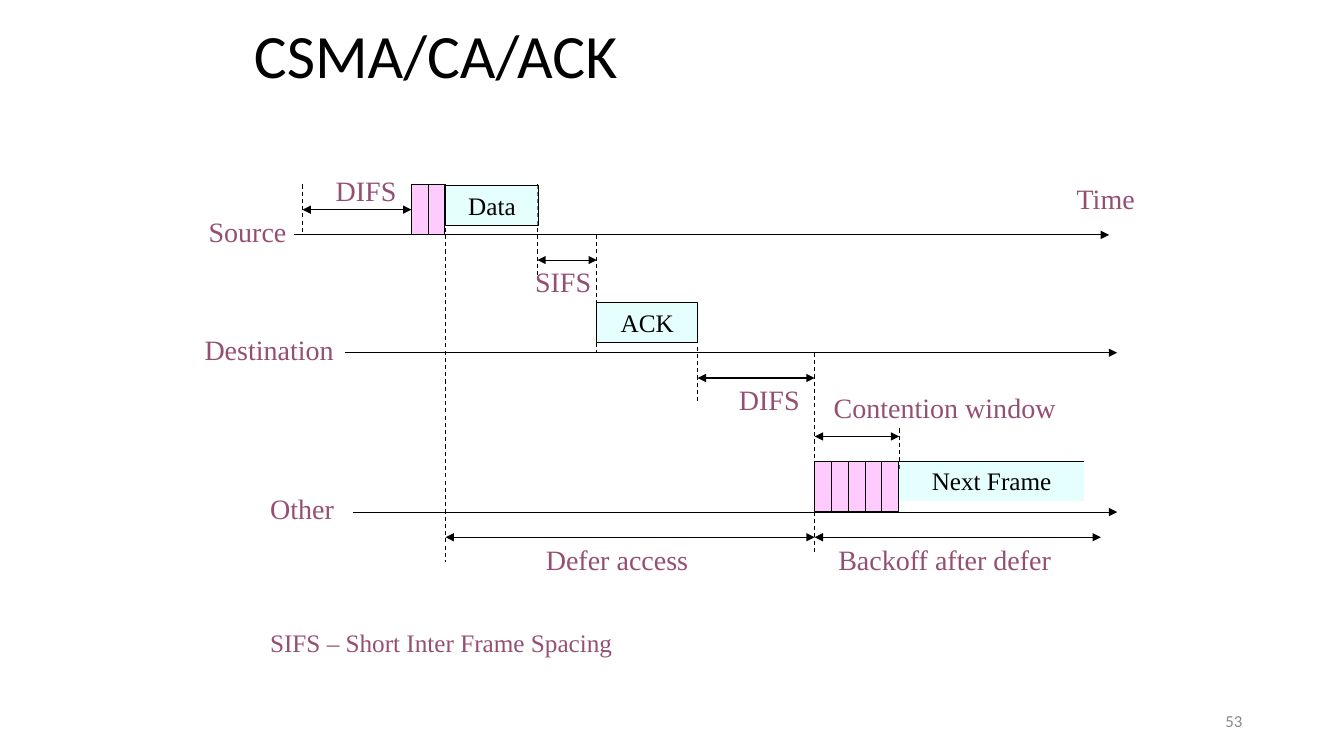
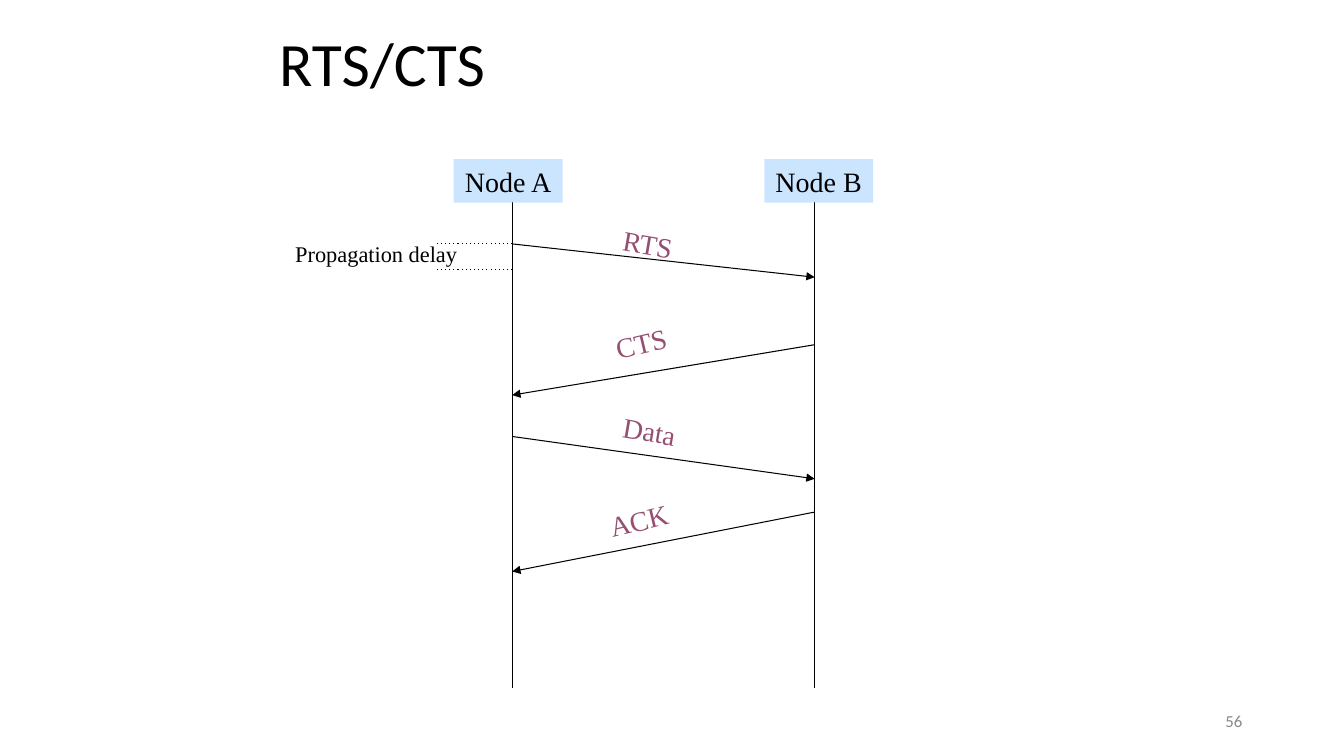
from lxml.etree import SubElement
from pptx import Presentation
from pptx.dml.color import RGBColor
from pptx.enum.shapes import MSO_CONNECTOR, MSO_SHAPE
from pptx.enum.text import MSO_ANCHOR as Anchor, PP_ALIGN as Align
from pptx.oxml.ns import qn
from pptx.util import Inches, Pt

hue = RGBColor.from_string
SERIF, SANS = "Times New Roman", "Calibri"
BLACK, PLUM, GREY = "000000", "954F72", "888888"
PINK, CYAN, BLUE = "FF99FF", "CCFFFF", "99CCFF"


def box(slide, spot, text="", size=20, ink=PLUM, font=SERIF, align=Align.LEFT,
        anchor=Anchor.TOP, fill=None, edge=False, turn=0):
    area = [Inches(n) for n in spot]
    if fill:
        shape = slide.shapes.add_shape(MSO_SHAPE.RECTANGLE, *area)
        shape.shadow.inherit = False
        shape.fill.solid()
        shape.fill.fore_color.rgb = hue(fill)
        tint = shape.fill._xPr.find(".//" + qn("a:srgbClr"))
        SubElement(tint, qn("a:alpha"), val="50000")
        if edge:
            shape.line.color.rgb = hue(BLACK)
            shape.line.width = Pt(0.75)
        else:
            shape.line.fill.background()
    else:
        shape = slide.shapes.add_textbox(*area)
    shape.rotation = turn
    if text:
        frame = shape.text_frame
        frame.text = text
        frame.word_wrap = True
        frame.vertical_anchor = anchor
        para = frame.paragraphs[0]
        para.alignment = align
        style = para.runs[0].font
        style.size, style.name = Pt(size), font
        style.color.rgb = hue(ink)
    return shape


def link(slide, x1, y1, x2, y2, ends="", dash=None):
    line = slide.shapes.add_connector(
        MSO_CONNECTOR.STRAIGHT, Inches(x1), Inches(y1), Inches(x2), Inches(y2))
    line.line.color.rgb = hue(BLACK)
    line.line.width = Pt(0.75)
    stroke = line.get_or_add_ln()
    if dash:
        SubElement(stroke, qn("a:prstDash"), val=dash)
    for end in ends.split():
        SubElement(stroke, qn("a:" + end), type="triangle")
    SubElement(line._element.spPr, qn("a:effectLst"))


deck = Presentation()
deck.slide_width, deck.slide_height = Inches(13.33), Inches(7.5)
slides = []
for title, spot, number in [
    ("CSMA/CA/ACK", (2.42, 0.08, 8.75, 1), "53"),
    ("RTS/CTS", (2.67, 0.25, 7.75, 0.83), "56"),
]:
    slide = deck.slides.add_slide(deck.slide_layouts[6])
    box(slide, (9.42, 6.95, 3, 0.4), number, 12, GREY, SANS, Align.RIGHT, Anchor.MIDDLE)
    head = box(slide, spot, title, 44, BLACK, SANS, anchor=Anchor.MIDDLE)
    head.text_frame.paragraphs[0].line_spacing = 0.9
    slides.append(slide)
timing, shake = slides

for x1, x2, y in [(2.92, 11, 2.33), (3.42, 11.08, 3.5), (3.5, 11.08, 5.08)]:
    link(timing, x1, y, x2, y, "tailEnd")

for x, y1, y2 in [
    (3, 1.83, 2.33), (4.42, 1.83, 5.58), (5.33, 1.83, 2.75), (5.92, 2.33, 3.5),
    (6.92, 3.08, 4), (8.08, 3.5, 5.5), (8.92, 4.25, 4.67),
]:
    link(timing, x, y1, x, y2, dash="dash")

for x1, x2, y in [
    (3, 4.08, 2.08), (5.33, 5.92, 2.58), (6.92, 8.08, 3.75),
    (8.08, 8.92, 4.33), (4.42, 8.08, 5.33), (8.08, 10.92, 5.33),
]:
    link(timing, x1, y, x2, y, "headEnd tailEnd")

slot = 1 / 6
for left, top, count in [(4.08, 1.83, 2), (8.08, 4.58, 5)]:
    for i in range(count):
        box(timing, (left + i * slot, top, slot, 0.5), fill=PINK, edge=True)

for text, x, y, wide, edge in [
    ("Data", 4.42, 1.84, 0.92, True),
    ("ACK", 5.92, 3, 1, True),
    ("Next Frame", 8.92, 4.57, 1.83, False),
]:
    box(timing, (x, y, wide, 0.4), text, 18, BLACK, align=Align.CENTER, fill=CYAN, edge=edge)
link(timing, 8.92, 4.58, 10.75, 4.58)

for text, x, y, wide in [
    ("DIFS", 3.17, 1.67, 0.92),
    ("Source", 1.83, 2.08, 1.25),
    ("SIFS", 5.17, 2.58, 0.83),
    ("Destination", 1.92, 3.25, 1.5),
    ("DIFS", 7.17, 3.75, 0.92),
    ("Contention window", 8.08, 3.83, 2.58),
    ("Defer access", 4.83, 5.33, 2.58),
    ("Backoff after defer", 8.08, 5.33, 2.58),
]:
    box(timing, (x, y, wide, 0.43), text, align=Align.CENTER)
box(timing, (10.58, 1.75, 0.83, 0.43), "Time")
box(timing, (2.58, 4.83, 0.92, 0.43), "Other")
box(timing, (2.58, 6.17, 4.92, 0.4), "SIFS – Short Inter Frame Spacing", 18)

ax, bx = 5.08, 8.08
for text, x, left in [("Node A", ax, 4.5), ("Node B", bx, 7.58)]:
    link(shake, x, 2, x, 6.83)
    box(shake, (left, 1.58, 1.08, 0.43), text, ink=BLACK, align=Align.CENTER, fill=BLUE)

for text, x1, y1, x2, y2, left, top, turn in [
    ("RTS", ax, 2.42, bx, 2.75, 6.08, 2.23, 9.7),
    ("CTS", bx, 3.42, ax, 3.92, 6, 3.15, 346.6),
    ("Data", ax, 4.33, bx, 4.75, 6.08, 4.08, 9.7),
    ("ACK", bx, 5.08, ax, 5.67, 5.94, 4.92, 346.6),
]:
    link(shake, x1, y1, x2, y2, "tailEnd")
    box(shake, (left, top, 1, 0.43), text, turn=turn)

for y in (2.42, 2.67):
    link(shake, ax, y, 4.33, y, dash="dot")
box(shake, (2.83, 2.33, 1.83, 0.37), "Propagation delay", 16, BLACK)

deck.save("out.pptx")
